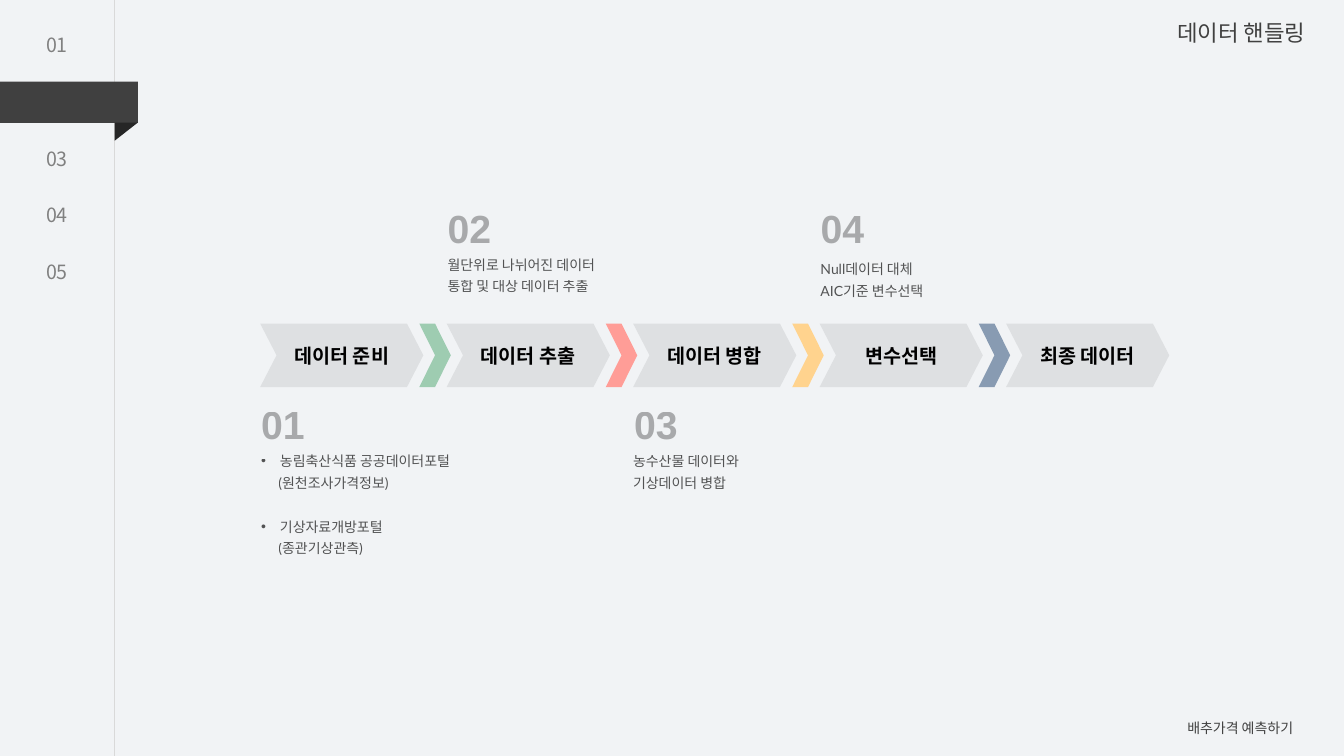
"""Build the data handling process slide."""
from lxml.etree import SubElement
from pptx import Presentation
from pptx.dml.color import RGBColor
from pptx.enum.shapes import MSO_CONNECTOR as Connector, MSO_SHAPE as Shape
from pptx.enum.text import MSO_ANCHOR as Anchor, MSO_AUTO_SIZE as AutoSize, PP_ALIGN as Align
from pptx.oxml.ns import qn
from pptx.util import Pt

KOREAN = "Noto Sans CJK KR"
STEPS = ["데이터 준비", "데이터 추출", "데이터 병합", "변수선택", "최종 데이터"]
LINK_COLORS = ["9ECCB1", "FF9D97", "FFD38E", "889BB2"]
STEP_PITCH = 133.2
NOTES = [
    (319.7, 179.3, 125.3, ["월단위로 나뉘어진 데이터 통합 및 대상 데이터 추출"]),
    (452.2, 319.7, 116, ["농수산물 데이터와", "기상데이터 병합"]),
    (586.1, 182.2, 116, ["Null데이터 대체", "AIC기준 변수선택"]),
]
SOURCES = [
    ("농림축산식품 공공데이터포털", "(원천조사가격정보)"),
    ("기상자료개방포털", "(종관기상관측)"),
]
NOTE_FORMAT = {"size": 10, "font": "Lato", "color": "000000", "opacity": 65, "spacing": 1.3}


def paint(target, color):
    """Give a fill or line format one solid colour."""
    target.solid()
    target.fore_color.rgb = RGBColor.from_string(color)


def write(para, text, size=10, font=KOREAN, color="404040", bold=False,
          opacity=100, align=Align.LEFT, spacing=1.0, before=0):
    """Write one formatted run into a paragraph."""
    para.alignment = align
    para.line_spacing = spacing
    para.space_before = Pt(before)
    span = para.add_run()
    span.text = text
    span.font.name, span.font.size, span.font.bold = font, Pt(size), bold
    paint(span.font.fill, color)
    props = span.font._element
    SubElement(props, qn("a:ea"), typeface=KOREAN)
    if opacity < 100:
        rgb = props.find(".//" + qn("a:srgbClr"))
        SubElement(rgb, qn("a:alpha"), val=str(opacity * 1000))


def place(box, left, top, width, height):
    """Move and size a shape in points."""
    box.left, box.top, box.width, box.height = map(Pt, (left, top, width, height))


def set_frame(frame, wrap=True, anchor=Anchor.TOP, inset=True):
    """Set wrapping, anchor and insets of a text frame."""
    frame.auto_size = AutoSize.NONE
    frame.word_wrap = wrap
    frame.vertical_anchor = anchor
    if not inset:
        frame.margin_left = frame.margin_right = Pt(0)
        frame.margin_top = frame.margin_bottom = Pt(0)


def add_text(page, left, top, width, height, lines, wrap=True,
             anchor=Anchor.TOP, inset=False, **style):
    """Add a text box with one paragraph per line."""
    box = page.shapes.add_textbox(*map(Pt, (left, top, width, height)))
    set_frame(box.text_frame, wrap, anchor, inset)
    for index, line in enumerate(lines):
        para = box.text_frame.add_paragraph() if index else box.text_frame.paragraphs[0]
        write(para, line, **style)


def add_block(page, kind, left, top, width, height, color):
    """Add a flat preset shape without outline."""
    block = page.shapes.add_shape(kind, *map(Pt, (left, top, width, height)))
    paint(block.fill, color)
    block.line.fill.background()
    block.shadow.inherit = False
    return block


def set_bullet(para, indent, hanging=0, char=None):
    """Set the indent of a paragraph and its bullet, if any."""
    props = para._p.get_or_add_pPr()
    props.set("marL", str(Pt(indent)))
    props.set("indent", str(-Pt(hanging)))
    if char:
        SubElement(props, qn("a:buFont"), typeface="Arial")
        SubElement(props, qn("a:buChar"), char=char)
    else:
        SubElement(props, qn("a:buNone"))


def add_sidebar(page):
    """Draw the section numbers, the rule and the active ribbon."""
    rule = page.shapes.add_connector(Connector.STRAIGHT, Pt(82), Pt(0), Pt(82), Pt(540))
    paint(rule.line.fill, "D9D9D9")
    rule.line.width = Pt(0.5)
    SubElement(rule._element.spPr, qn("a:effectLst"))
    for index in (0, 2, 3, 4):
        add_text(page, 25.2, 20.2 + 40.5 * index, 31, 24.5, [f"{index + 1:02}"],
                 wrap=False, inset=True, size=14, color="808080", align=Align.CENTER)
    add_block(page, Shape.RECTANGLE, 0, 58.3, 98.6, 29.5, "404040")
    fold = add_block(page, Shape.RIGHT_TRIANGLE, 83.7, 85.7, 13, 16.6, "262626")
    fold.rotation = 90


def add_process(page):
    """Draw the chevrons of the process and their numbers."""
    for index, step in enumerate(STEPS):
        shift = STEP_PITCH * index
        chevron = add_block(page, Shape.CHEVRON, 185.8 + shift, 231.1, 116.6, 45.4, "DEE0E2")
        chevron.adjustments[0] = 0.258
        set_frame(chevron.text_frame, anchor=Anchor.MIDDLE, inset=False)
        write(chevron.text_frame.paragraphs[0], step, size=14, font="Arial",
              color="000000", bold=True, align=Align.CENTER)
    for index, color in enumerate(LINK_COLORS):
        shift = STEP_PITCH * index
        add_block(page, Shape.CHEVRON, 299.5 + shift, 231.1, 22.5, 45.4, color)
        add_text(page, 186.5 + shift, 145.4 if index % 2 else 285.8, 48, 34,
                 [f"{index + 1:02}"], anchor=Anchor.MIDDLE, size=28, font="Arial",
                 color="000000", opacity=30, bold=True)


def fill_sources(body):
    """Write the data sources into the body placeholder."""
    place(body, 186.5, 319.7, 152.6, 77)
    frame = body.text_frame
    set_frame(frame, inset=False)
    for index, (name, detail) in enumerate(SOURCES):
        para = frame.add_paragraph() if index else frame.paragraphs[0]
        write(para, name, before=15.5 * index, **NOTE_FORMAT)
        set_bullet(para, 13.5, 13.5, "•")
        para = frame.add_paragraph()
        write(para, detail, **NOTE_FORMAT)
        set_bullet(para, 12.4)


def main():
    """Build and save the deck."""
    deck = Presentation()
    deck.slide_width, deck.slide_height = Pt(960), Pt(540)
    page = deck.slides.add_slide(deck.slide_layouts[1])
    paint(page.background.fill, "F1F3F5")
    title, body = page.placeholders
    place(title, 822.2, 10.1, 117.4, 26.6)
    set_frame(title.text_frame, wrap=False)
    write(title.text_frame.paragraphs[0], "데이터 핸들링", size=16, align=Align.RIGHT)
    fill_sources(body)
    add_sidebar(page)
    add_process(page)
    for left, top, width, lines in NOTES:
        add_text(page, left, top, width, 29.5, lines, **NOTE_FORMAT)
    add_text(page, 841, 510.5, 98.6, 19.4, ["배추가격 예측하기"], wrap=False, inset=True)
    deck.save("out.pptx")


if __name__ == "__main__":
    main()
